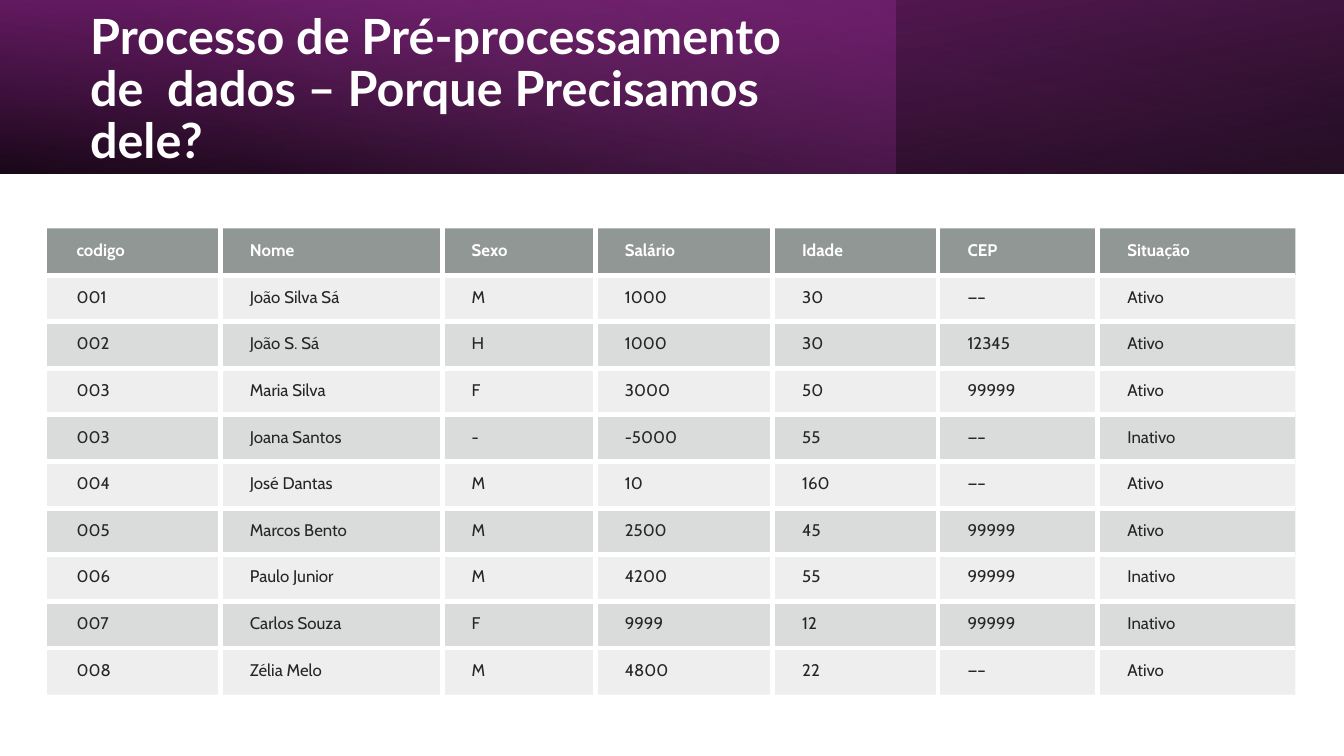
from lxml.etree import SubElement
from pptx import Presentation
from pptx.dml.color import RGBColor
from pptx.enum.shapes import MSO_SHAPE
from pptx.enum.text import MSO_ANCHOR, MSO_AUTO_SIZE, PP_ALIGN
from pptx.oxml.ns import qn
from pptx.util import Inches, Pt

COLORS = {
    "white": "FFFFFF", "black": "000000", "text": "262626", "plum": "6D1D6B",
    "purple": "92278F", "pink": "D665D3", "header": "636B68", "body": "878E8B",
}
TITLE = "Processo de Pré-processamento de  dados – Porque Precisamos dele?"
HEADERS = ["codigo", "Nome", "Sexo", "Salário", "Idade", "CEP", "Situação"]
RECORDS = [
    ("001", "João Silva Sá", "M", "1000", "30", "—–", "Ativo"),
    ("002", "João S. Sá", "H", "1000", "30", "12345", "Ativo"),
    ("003", "Maria Silva", "F", "3000", "50", "99999", "Ativo"),
    ("003", "Joana Santos", "-", "-5000", "55", "—–", "Inativo"),
    ("004", "José Dantas", "M", "10", "160", "—–", "Ativo"),
    ("005", "Marcos Bento", "M", "2500", "45", "99999", "Ativo"),
    ("006", "Paulo Junior", "M", "4200", "55", "99999", "Inativo"),
    ("007", "Carlos Souza", "F", "9999", "12", "99999", "Inativo"),
    ("008", "Zélia Melo", "M", "4800", "22", "—–", "Ativo"),
]
SLIDE_WIDTH = 10
SLIDE_HEIGHT = SLIDE_WIDTH * 9 / 16
BAND_HEIGHT = 1.29
# Stops are (position %, color, opacity %).
BANDS = [
    {"share": 1, "angle": 100, "rotation": 180, "flip": True,
     "stops": [(0, "black", 96), (100, "plum", 100)]},
    {"share": 2 / 3, "angle": 140, "rotation": 0, "flip": False,
     "stops": [(0, "purple", 41), (74, "pink", 0)]},
    {"share": 1, "angle": 260, "rotation": 0, "flip": True,
     "stops": [(0, "black", 63), (78, "purple", 15)]},
]
TABLE_LEFT, TABLE_TOP, TABLE_HEIGHT = 0.35, 1.7, 3.47
COLUMN_WIDTHS = [1.29, 1.65, 1.14, 1.32, 1.23, 1.19, 1.47]
NO_STYLE = "{2D5ABB26-0587-4C30-8999-92F81FD0307C}"


def add_color(parent, color, opacity=100):
    element = SubElement(parent, qn("a:srgbClr"), val=COLORS[color])
    if opacity < 100:
        SubElement(element, qn("a:alpha"), val=str(opacity * 1000))


def add_solid_fill(parent, color, opacity=100):
    add_color(SubElement(parent, qn("a:solidFill")), color, opacity)


def write_text(frame, text, *, font, size, color, bold=False, spacing=None, indent=0):
    frame.word_wrap = True
    paragraph = frame.paragraphs[0]
    paragraph.alignment = PP_ALIGN.LEFT
    if spacing:
        paragraph.line_spacing = spacing
    if indent:
        properties = paragraph._p.get_or_add_pPr()
        properties.set("marL", str(Inches(indent)))
        properties.set("indent", "0")
    run = paragraph.add_run()
    run.text = text
    run.font.name = font
    run.font.size = Pt(size)
    run.font.bold = bold
    run.font.color.rgb = RGBColor.from_string(COLORS[color])


def add_band(slide, share, angle, rotation, flip, stops):
    band = slide.shapes.add_shape(
        MSO_SHAPE.RECTANGLE, 0, 0, Inches(SLIDE_WIDTH * share), Inches(BAND_HEIGHT))
    band.shadow.inherit = False
    band.line.fill.background()
    band.rotation = rotation
    properties = band._element.spPr
    if flip:
        properties.find(qn("a:xfrm")).set("flipH", "1")
    band.fill.gradient()
    gradient = properties.find(qn("a:gradFill"))
    for child in list(gradient):
        gradient.remove(child)
    stop_list = SubElement(gradient, qn("a:gsLst"))
    for position, color, opacity in stops:
        stop = SubElement(stop_list, qn("a:gs"), pos=str(position * 1000))
        add_color(stop, color, opacity)
    SubElement(gradient, qn("a:lin"), ang=str(angle * 60000), scaled="0")


def format_cell(cell, fill, opacity, sides):
    """Set margins, translucent fill and white borders on the named sides."""
    cell.margin_left = Inches(0.14)
    cell.margin_right = cell.margin_top = cell.margin_bottom = Inches(0.09)
    cell.vertical_anchor = MSO_ANCHOR.TOP
    properties = cell._tc.get_or_add_tcPr()
    for side in sides:
        border = SubElement(properties, qn(f"a:ln{side}"), w=str(Pt(3)))
        add_solid_fill(border, "white")
    add_solid_fill(properties, fill, opacity)


def add_records_table(slide):
    rows = [HEADERS, *RECORDS]
    last_row, last_column = len(rows) - 1, len(HEADERS) - 1
    frame = slide.shapes.add_table(
        len(rows), len(HEADERS), Inches(TABLE_LEFT), Inches(TABLE_TOP),
        Inches(sum(COLUMN_WIDTHS)), Inches(TABLE_HEIGHT))
    table = frame.table
    table._tbl.tblPr.find(qn("a:tableStyleId")).text = NO_STYLE
    for column, width in zip(table.columns, COLUMN_WIDTHS):
        column.width = Inches(width)
    for r, row in enumerate(rows):
        table.rows[r].height = Inches(TABLE_HEIGHT / len(rows))
        is_header = r == 0
        fill = "header" if is_header else "body"
        opacity = 70 if is_header else (15 if r % 2 else 30)
        for c, text in enumerate(row):
            inner = {"L": c > 0, "R": c < last_column, "T": r > 0, "B": r < last_row}
            cell = table.cell(r, c)
            format_cell(cell, fill, opacity, [side for side in inner if inner[side]])
            write_text(cell.text_frame, text, font="Cabin", size=9, bold=is_header,
                       color="white" if is_header else "text", indent=0.08)


def place_title(slide):
    title = slide.shapes.title
    title.left, title.top = Inches(0.57), Inches(0.2)
    title.width, title.height = Inches(5.79), Inches(0.95)
    frame = title.text_frame
    frame.auto_size = MSO_AUTO_SIZE.NONE
    frame.vertical_anchor = MSO_ANCHOR.MIDDLE
    write_text(frame, TITLE, font="Lato", size=26, color="white", bold=True, spacing=0.9)
    slide.shapes._spTree.append(title._element)  # in front of the bands


def main():
    presentation = Presentation()
    presentation.slide_width = Inches(SLIDE_WIDTH)
    presentation.slide_height = Inches(SLIDE_HEIGHT)
    slide = presentation.slides.add_slide(presentation.slide_layouts[5])
    for band in BANDS:
        add_band(slide, **band)
    place_title(slide)
    add_records_table(slide)
    presentation.save("out.pptx")


if __name__ == "__main__":
    main()
